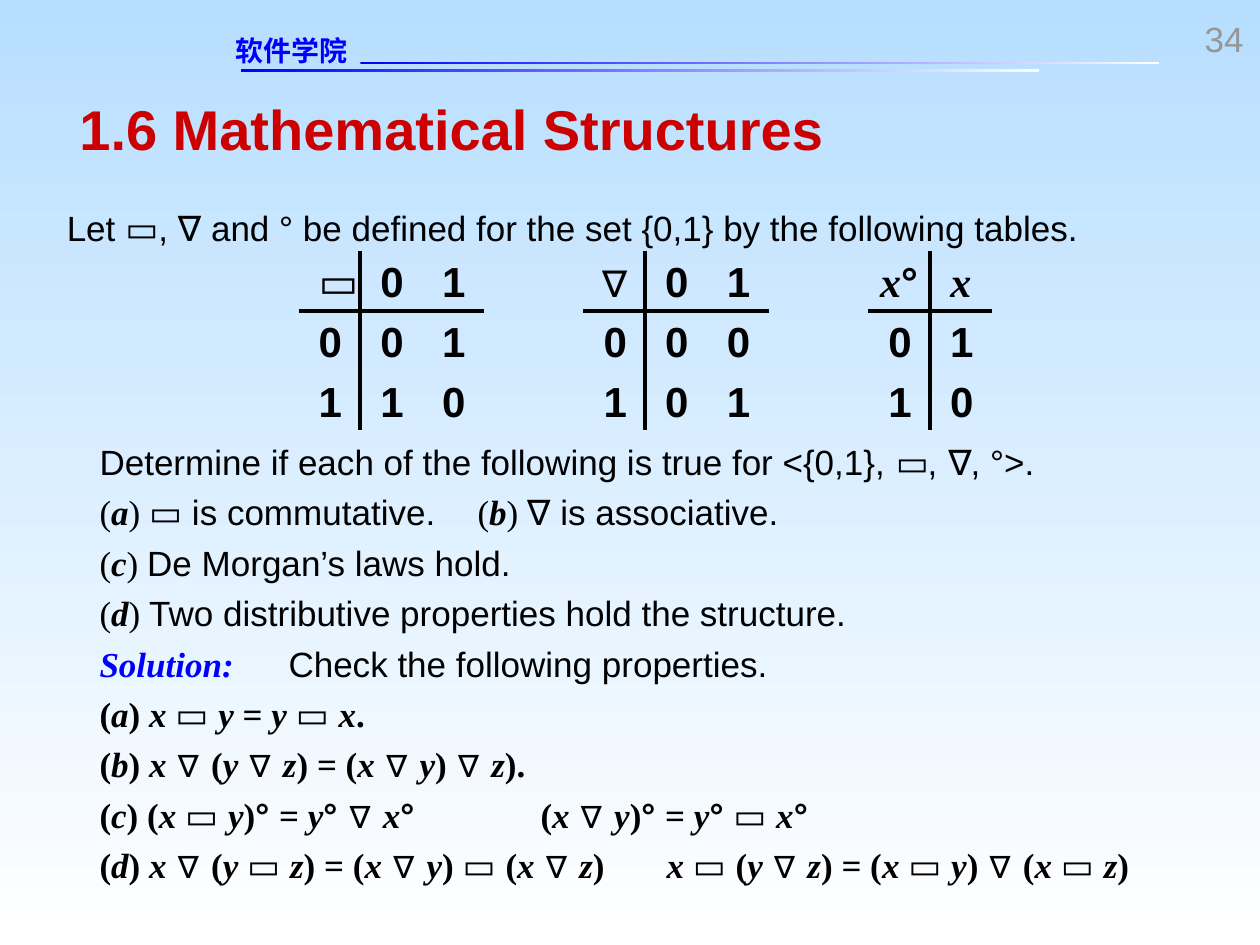
from itertools import groupby

from lxml import etree
from pptx import Presentation
from pptx.dml.color import RGBColor
from pptx.enum.shapes import MSO_CONNECTOR, MSO_SHAPE
from pptx.enum.text import MSO_ANCHOR, MSO_AUTO_SIZE, PP_ALIGN
from pptx.oxml.ns import qn
from pptx.util import Inches, Pt

LEFT, CENTER, RIGHT = PP_ALIGN.LEFT, PP_ALIGN.CENTER, PP_ALIGN.RIGHT
TOP, MIDDLE = MSO_ANCHOR.TOP, MSO_ANCHOR.MIDDLE
RECTANGLE, STRAIGHT = MSO_SHAPE.RECTANGLE, MSO_CONNECTOR.STRAIGHT
FIT_SHAPE = MSO_AUTO_SIZE.SHAPE_TO_FIT_TEXT
SANS, SERIF, HEADER_FONT = "Arial", "Times New Roman", "DejaVu Sans"
COLORS = {"sky": "B7DEFF", "white": "FFFFFF", "blue": "0000FF",
          "red": "CC0000", "gray": "969696", "black": "000000"}

SCHOOL = "软件学院"
PAGE = "34"
TITLE = "1.6 Mathematical Structures"
INTRO = "Let ▭, ∇ and ° be defined for the set {0,1} by the following tables."
OPERATIONS = [
    [["▭", "0", "1"], ["0", "0", "1"], ["1", "1", "0"]],
    [["∇", "0", "1"], ["0", "0", "0"], ["1", "0", "1"]],
    [["x°", "x"], ["0", "1"], ["1", "0"]],
]
QUESTION = "Determine if each of the following is true for <{0,1}, ▭, ∇, °>."
CLAIMS = [
    [("a", "▭ is commutative.\t"), ("b", "∇ is associative.")],
    [("c", "De Morgan’s laws hold.")],
    [("d", "Two distributive properties hold the structure.")],
]
SOLUTION = ("Solution:\t", "Check the following properties.")
FORMULAS = [
    "(a) x ▭ y = y ▭ x.",
    "(b) x ∇ (y ∇ z) = (x ∇ y) ∇ z).",
    "(c) (x ▭ y)° = y° ∇ x°\t\t(x ∇ y)° = y° ▭ x°",
    "(d) x ∇ (y ▭ z) = (x ∇ y) ▭ (x ∇ z)\tx ▭ (y ∇ z) = (x ▭ y) ∇ (x ▭ z)",
]

HEADER_RULES = [(1.91, 0.55), (2.86, 0.49)]
TABLES_LEFT, TABLES_TOP, TABLE_STEP = 2.37, 1.99, 2.26
COLUMN, ROW = 0.49, 0.475
CELL_WIDTHS = {"∇": 0.24, "x°": 0.31}

PLAIN = {"font": SERIF}
VARIABLE = {"font": SERIF, "bold": True, "italic": True}
STRONG = {"font": SERIF, "bold": True}
SYMBOL = {"font": SANS, "bold": True}


def rgb(name):
    return RGBColor.from_string(COLORS[name])


def formula_runs(formula):
    styles = []
    for char in formula:
        if char == " " and styles:
            styles.append(styles[-1])
        elif char in "▭∇°":
            styles.append(SYMBOL)
        else:
            styles.append(VARIABLE if char.isalpha() else STRONG)
    pairs = zip(formula, styles)
    return [("".join(char for char, _ in part), style)
            for style, part in groupby(pairs, key=lambda pair: pair[1])]


def claim_runs(claims):
    runs = []
    for letter, claim in claims:
        runs += [("(", PLAIN), (letter, VARIABLE), (") ", PLAIN), (claim, {})]
    return runs


def write_text(box, paragraphs, *, size, font=SANS, color="black", bold=False,
               align=LEFT, anchor=TOP, spacing=1.0):
    frame = box.text_frame
    frame.margin_left = frame.margin_top = frame.margin_right = frame.margin_bottom = 0
    frame.word_wrap = True
    frame.auto_size = FIT_SHAPE
    frame.vertical_anchor = anchor
    for index, runs in enumerate(paragraphs):
        paragraph = frame.paragraphs[0] if index == 0 else frame.add_paragraph()
        paragraph.alignment = align
        paragraph.line_spacing = spacing
        paragraph.space_before = Pt(0)
        for text, style in runs:
            run = paragraph.add_run()
            run.text = text
            run.font.size = Pt(size)
            run.font.name = style.get("font", font)
            run.font.bold = style.get("bold", bold)
            run.font.italic = style.get("italic", False)
            run.font.color.rgb = rgb(style.get("color", color))


def add_text(shapes, place, paragraphs, **style):
    box = shapes.add_textbox(*map(Inches, place))
    write_text(box, paragraphs, **style)


def set_gradient(fill, start, end, angle):
    fill.gradient()
    fill.gradient_angle = angle
    for stop, color in zip(fill.gradient_stops, (start, end)):
        stop.color.rgb = rgb(color)


def add_rule(shapes, *ends):
    rule = shapes.add_connector(STRAIGHT, *map(Inches, ends))
    rule.line.color.rgb = rgb("black")
    rule.line.width = Pt(2.25)
    etree.SubElement(rule._element.spPr, qn("a:effectLst"))


def add_operation(slide, rows, left):
    shapes = slide.shapes.add_group_shape().shapes
    for r, row in enumerate(rows):
        for c, value in enumerate(row):
            width = CELL_WIDTHS.get(value, 0.17)
            place = (left + COLUMN * (c + 0.5) - width / 2,
                     TABLES_TOP + 0.04 + ROW * r, width, 0.4)
            runs = formula_runs(value) if "x" in value else [(value, {})]
            add_text(shapes, place, [runs], size=24, bold=True,
                     align=CENTER, anchor=MIDDLE)
    right, bottom = left + COLUMN * len(rows[0]), TABLES_TOP + ROW * len(rows)
    add_rule(shapes, left, TABLES_TOP + ROW, right, TABLES_TOP + ROW)
    add_rule(shapes, left + COLUMN, TABLES_TOP, left + COLUMN, bottom)


def main():
    deck = Presentation()
    deck.slide_width, deck.slide_height = Inches(10), Inches(7.5)
    slide = deck.slides.add_slide(deck.slide_layouts[5])
    set_gradient(slide.background.fill, "sky", "white", 270)

    for left, top in HEADER_RULES:
        rule = slide.shapes.add_shape(RECTANGLE, *map(Inches, (left, top, 6.34, 0.02)))
        rule.shadow.inherit = False
        rule.line.fill.background()
        set_gradient(rule.fill, "blue", "white", 0)
    add_text(slide.shapes, (1.87, 0.27, 1.45, 0.27), [[(SCHOOL, {})]],
             size=16, font=HEADER_FONT, color="blue", bold=True)
    add_text(slide.shapes, (9.12, 0.14, 0.75, 0.33), [[(PAGE, {})]],
             size=20, color="gray", align=RIGHT)

    title = slide.shapes.title
    title.left, title.top, title.width, title.height = map(Inches, (0.63, 0.75, 8.75, 0.53))
    write_text(title, [[(TITLE, {})]], size=32, color="red", bold=True)

    add_text(slide.shapes, (0.53, 1.57, 9.19, 0.4), [[(INTRO, {})]], size=20, spacing=1.2)
    for index, rows in enumerate(OPERATIONS):
        add_operation(slide, rows, TABLES_LEFT + TABLE_STEP * index)

    heading, instruction = SOLUTION
    body = [[(QUESTION, {})], *map(claim_runs, CLAIMS),
            [(heading, {**VARIABLE, "color": "blue"}), (instruction, {})],
            *map(formula_runs, FORMULAS)]
    add_text(slide.shapes, (0.79, 3.43, 8.94, 3.6), body, size=20, spacing=1.2)
    deck.save("out.pptx")


if __name__ == "__main__":
    main()
